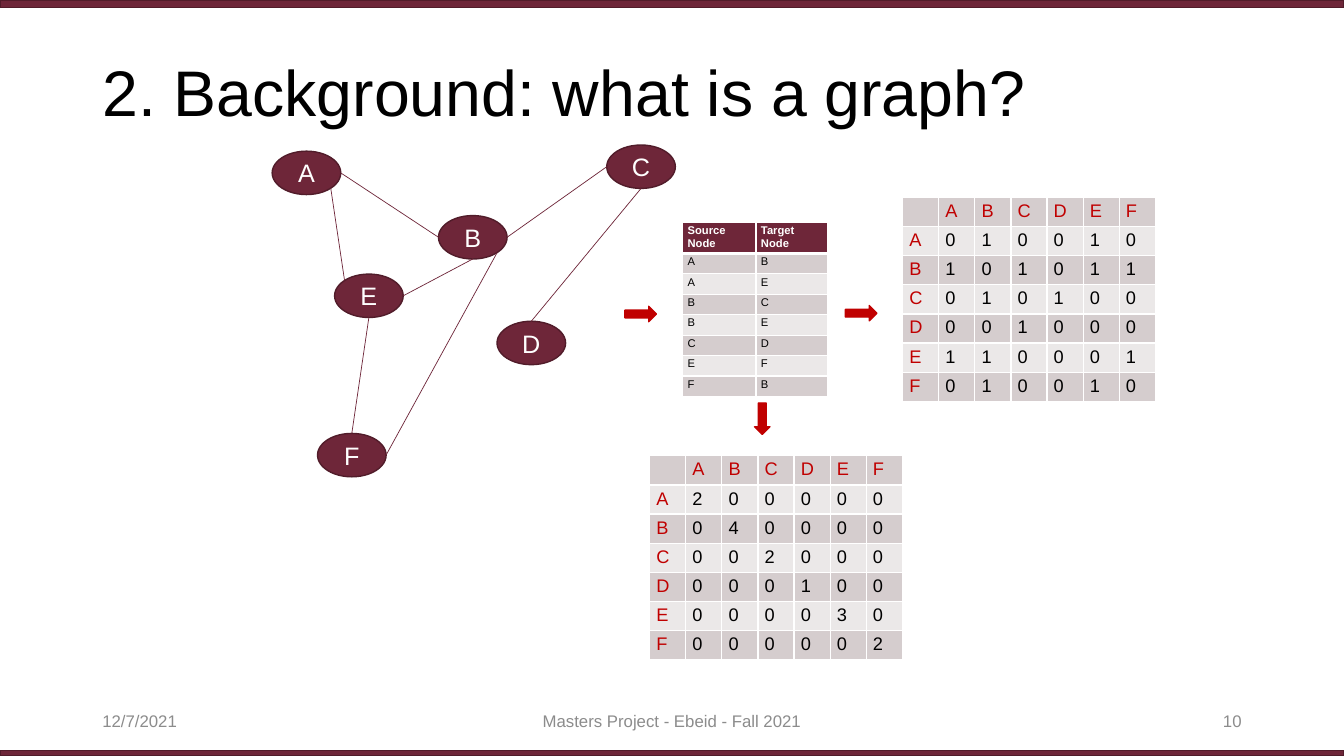
from lxml import etree
from pptx import Presentation
from pptx.dml.color import RGBColor
from pptx.enum.shapes import MSO_CONNECTOR, MSO_SHAPE
from pptx.enum.text import MSO_ANCHOR, MSO_AUTO_SIZE, PP_ALIGN
from pptx.oxml import parse_xml
from pptx.oxml.ns import nsdecls, qn
from pptx.util import Pt

RECT, OVAL, ARROW = MSO_SHAPE.RECTANGLE, MSO_SHAPE.OVAL, MSO_SHAPE.RIGHT_ARROW
STRAIGHT = MSO_CONNECTOR.STRAIGHT
MIDDLE, BOTTOM = MSO_ANCHOR.MIDDLE, MSO_ANCHOR.BOTTOM
LEFT, CENTER, RIGHT = PP_ALIGN.LEFT, PP_ALIGN.CENTER, PP_ALIGN.RIGHT
NO_FIT = MSO_AUTO_SIZE.NONE

MAROON, DARK, RED = "6E2639", "511C2A", "C00000"
WHITE, BLACK, GRAY = "FFFFFF", "000000", "8C8C8C"
BANDS = ("D5CDCE", "EBE8E8")
NODE_W, NODE_H = 49, 31
NODES = {"A": (194.4, 108), "F": (226.8, 309.6), "E": (239, 195.8),
         "B": (313.2, 154), "D": (355, 229.5), "C": (433.4, 103.6)}
SIDES = {"top": (0, -1), "bottom": (0, 1), "left": (-1, 0), "right": (1, 0),
         "top left": (-0.71, -0.71), "bottom right": (0.71, 0.71)}
LINKS = [("A", "bottom right", "E", "top left"), ("A", "right", "B", "left"),
         ("B", "right", "C", "left"), ("C", "bottom", "D", "top"),
         ("E", "bottom", "F", "top"), ("B", "bottom", "E", "right"),
         ("B", "bottom right", "F", "right")]
EDGES = ["AB", "AE", "BC", "BE", "CD", "EF", "FB"]
ADJACENCY = ["010010", "101011", "010100", "001000", "110001", "010010"]
DEGREES = [2, 4, 2, 1, 3, 2]


def rgb(value):
    return RGBColor.from_string(value)


def write(p, text, size, color, align=LEFT, bold=False):
    p.text = text
    p.alignment = align
    p.font.name = "Arial"
    p.font.size = Pt(size)
    p.font.bold = bold
    p.font.color.rgb = rgb(color)


def add_block(s, kind, x, y, w, h, fill, line):
    sp = s.shapes.add_shape(kind, Pt(x), Pt(y), Pt(w), Pt(h))
    sp.shadow.inherit = False
    sp.fill.solid()
    sp.fill.fore_color.rgb = rgb(fill)
    sp.line.color.rgb = rgb(line)
    sp.line.width = Pt(1)
    return sp


def add_title(s, text):
    sp = s.shapes.title
    sp.left, sp.top, sp.width, sp.height = Pt(66), Pt(23), Pt(828), Pt(73.5)
    tf = sp.text_frame
    tf.auto_size = NO_FIT
    tf.vertical_anchor = BOTTOM
    p = tf.paragraphs[0]
    write(p, text, 46, BLACK)
    p.line_spacing = 0.9


def add_footer(s, x, w, text, align):
    tf = s.shapes.add_textbox(Pt(x), Pt(500.5), Pt(w), Pt(28.8)).text_frame
    tf.word_wrap = True
    tf.vertical_anchor = MIDDLE
    write(tf.paragraphs[0], text, 12, GRAY, align)


def add_node(s, name):
    tf = add_block(s, OVAL, *NODES[name], NODE_W, NODE_H, MAROON, DARK).text_frame
    tf.word_wrap = False
    tf.margin_left = tf.margin_right = tf.margin_top = tf.margin_bottom = 0
    tf.vertical_anchor = MIDDLE
    write(tf.paragraphs[0], name, 18, WHITE, CENTER)


def node_point(name, side):
    (x, y), (dx, dy) = NODES[name], SIDES[side]
    return Pt(x + NODE_W / 2 * (1 + dx)), Pt(y + NODE_H / 2 * (1 + dy))


def add_link(s, start, start_side, end, end_side):
    line = s.shapes.add_connector(STRAIGHT, *node_point(start, start_side),
                                  *node_point(end, end_side))
    line.line.color.rgb = rgb(MAROON)
    line.line.width = Pt(0.5)
    etree.SubElement(line._element.spPr, qn("a:effectLst"))


def set_borders(cell, bottom):
    tc_pr = cell._tc.get_or_add_tcPr()
    for i, side in enumerate("LRTB"):
        width = Pt(bottom if side == "B" else 1)
        tc_pr.insert(i, parse_xml(
            f'<a:ln{side} {nsdecls("a")} w="{width}"><a:solidFill>'
            f'<a:srgbClr val="{WHITE}"/></a:solidFill></a:ln{side}>'))


def add_grid(s, x, y, rows, widths, heights, margins):
    frame = s.shapes.add_table(len(rows), len(widths), Pt(x), Pt(y),
                               Pt(sum(widths)), Pt(sum(heights)))
    table = frame.table
    table.first_row = table.horz_banding = False
    for column, width in zip(table.columns, widths):
        column.width = Pt(width)
    for r, row in enumerate(rows):
        table.rows[r].height = Pt(heights[r])
        for c, (text, size, color, fill, bold) in enumerate(row):
            cell = table.cell(r, c)
            cell.margin_left = cell.margin_right = Pt(margins[0])
            cell.margin_top = cell.margin_bottom = Pt(margins[1])
            cell.fill.solid()
            cell.fill.fore_color.rgb = rgb(fill)
            set_borders(cell, 3 if bold else 1)
            p = cell.text_frame.paragraphs[0]
            write(p, text, size, color, bold=bold)
            if not text:
                p._p.get_or_add_endParaRPr().set("sz", str(size * 100))


def add_edge_list(s):
    rows = [[(text, 8, WHITE, MAROON, True) for text in ("Source Node", "Target Node")]]
    rows += [[(name, 8, BLACK, BANDS[i % 2], False) for name in edge]
             for i, edge in enumerate(EDGES)]
    add_grid(s, 487.6, 159, rows, [52.4, 51], [21] + [14.6] * 7, (3.6, 1.44))


def add_matrix(s, x, y, values):
    names = sorted(NODES)
    grid = [["", *names]] + [[name, *row] for name, row in zip(names, values)]
    rows = [[(str(text), 13, BLACK if r and c else RED, BANDS[r % 2], False)
             for c, text in enumerate(row)] for r, row in enumerate(grid)]
    add_grid(s, x, y, rows, [25.8] * 7, [20.5] * 7, (4.8, 2.6))


def add_arrow(s, x, y, rotation=0):
    add_block(s, ARROW, x, y, 22.5, 11, RED, RED).rotation = rotation


def main():
    prs = Presentation()
    prs.slide_width, prs.slide_height = Pt(960), Pt(540)
    s = prs.slides.add_slide(prs.slide_layouts[5])
    add_block(s, RECT, 0, 0, 960, 5.2, MAROON, DARK)
    add_block(s, RECT, 0, 536.2, 960, 3.8, MAROON, DARK)
    add_title(s, "2. Background: what is a graph?")
    add_footer(s, 66, 216, "12/7/2021", LEFT)
    add_footer(s, 318, 324, "Masters Project - Ebeid - Fall 2021", CENTER)
    add_footer(s, 678, 216, "10", RIGHT)
    for name in NODES:
        add_node(s, name)
    for link in LINKS:
        add_link(s, *link)
    add_arrow(s, 446.4, 218.8)
    add_edge_list(s)
    add_arrow(s, 603.9, 218.2)
    add_matrix(s, 644.7, 141, ADJACENCY)
    add_arrow(s, 533.2, 293.6, 90)
    add_matrix(s, 464, 325.6, [[degree if i == j else 0 for j in range(6)]
                               for i, degree in enumerate(DEGREES)])
    prs.save("out.pptx")


if __name__ == "__main__":
    main()
